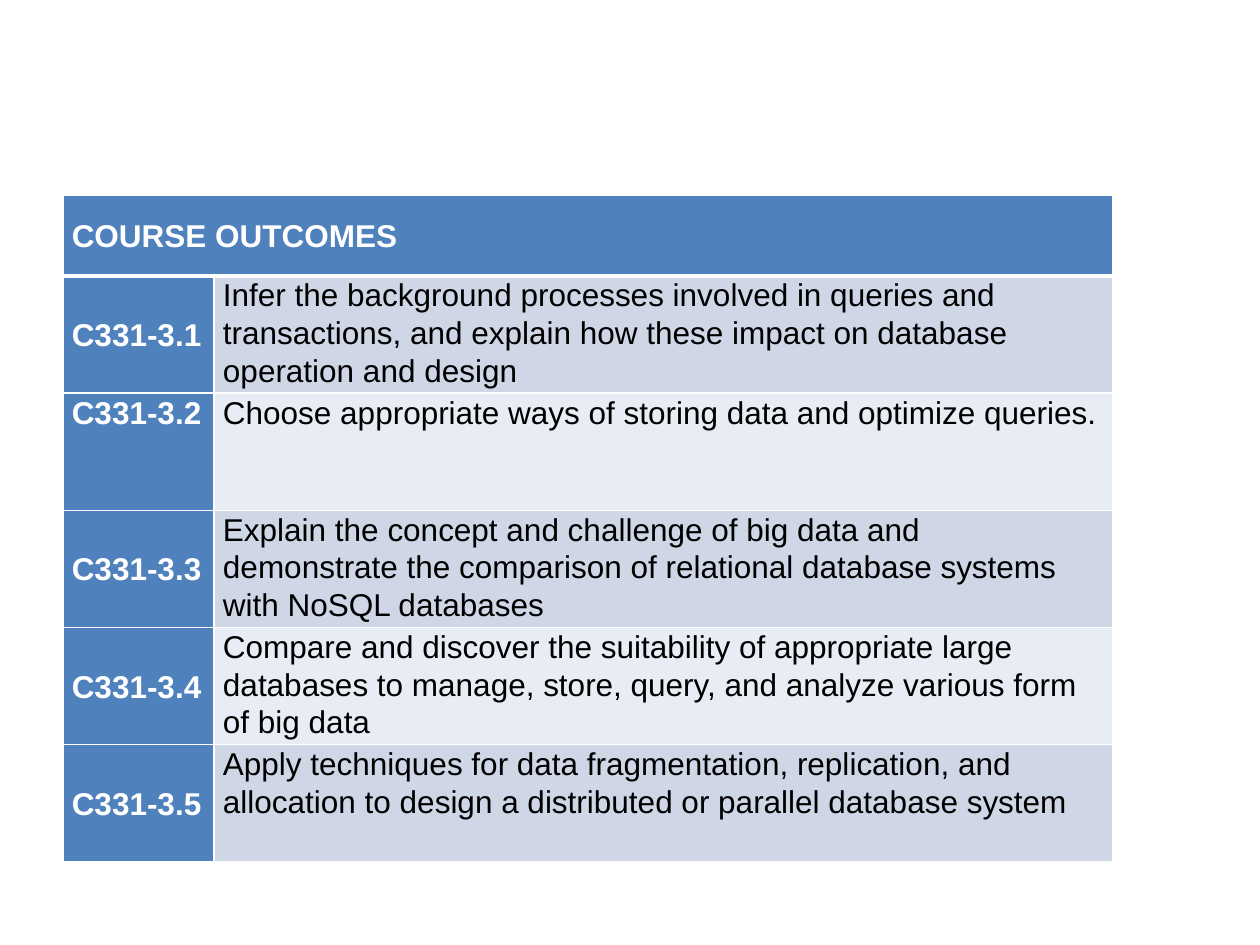
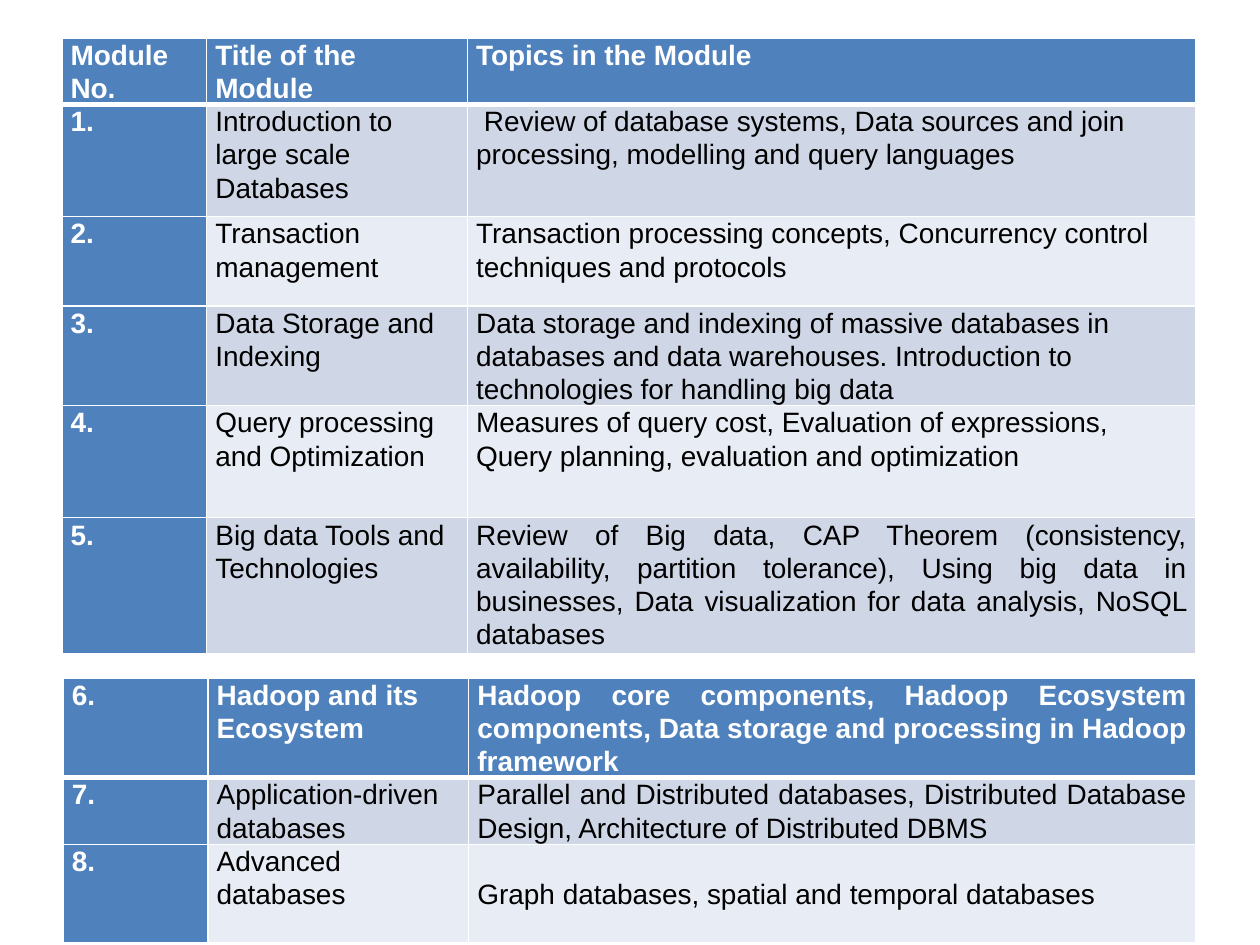
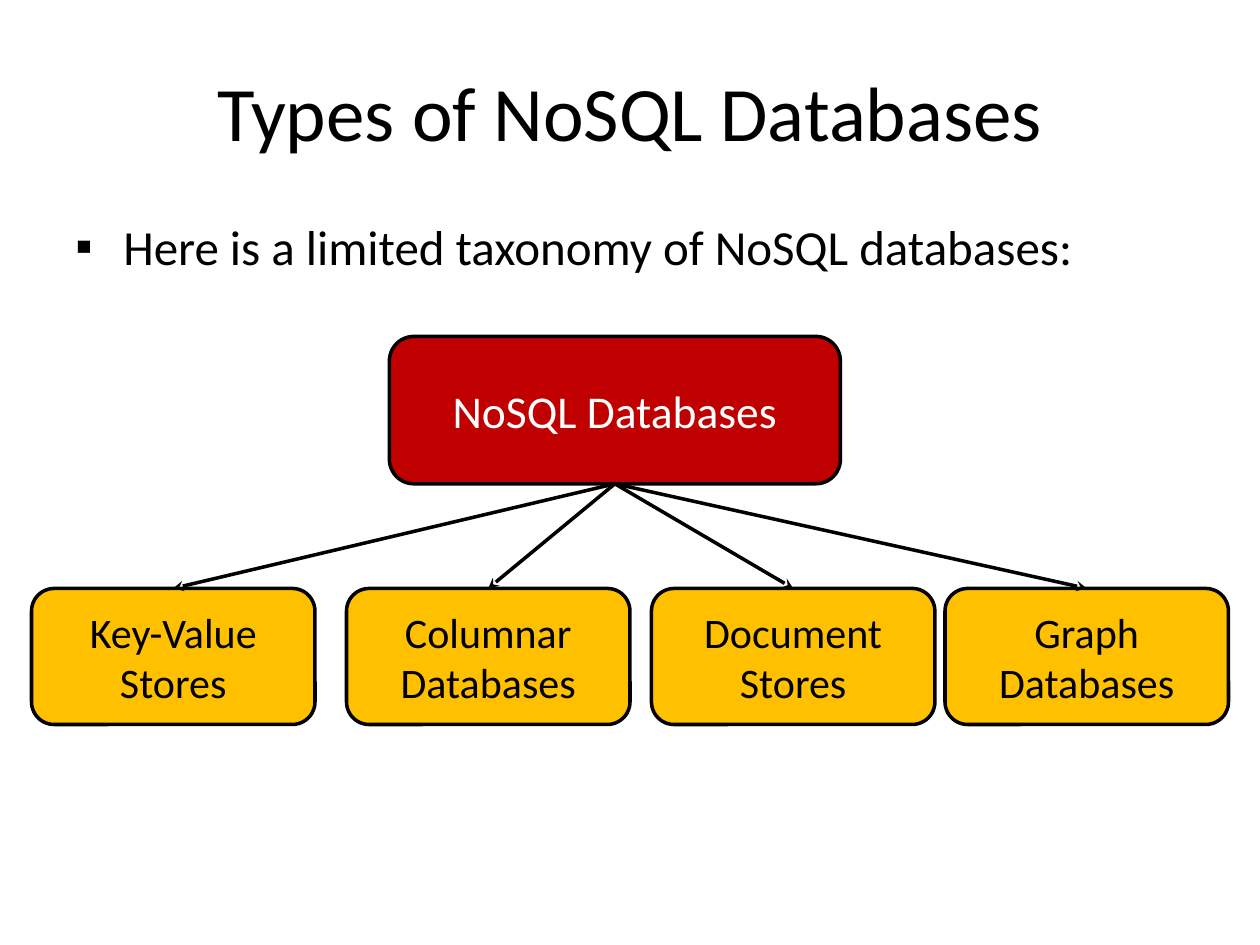
from dataclasses import dataclass
from typing import Any, Optional

import lxml.etree
import pptx
import pptx.dml.color
import pptx.enum.shapes
import pptx.enum.text
import pptx.oxml.ns
import pptx.util

Inches = pptx.util.Inches
Pt = pptx.util.Pt
qn = pptx.oxml.ns.qn
Align = pptx.enum.text.PP_ALIGN
Anchor = pptx.enum.text.MSO_ANCHOR


@dataclass(frozen=True)
class Theme:
    black: str = "000000"
    white: str = "FFFFFF"
    header: str = "4F81BD"
    bands: tuple[str, str] = ("CFD7E7", "E8ECF4")
    root: str = "C00000"
    leaf: str = "FFC000"
    table_font: str = "Arial"
    slide_font: str = "Calibri"
    title_size: float = 44
    body_size: float = 28
    root_size: float = 26
    leaf_size: float = 24
    outcome_size: float = 18
    topic_size: float = 16
    table_spacing: float = 1.07
    line_width: float = 2
    border: float = 1
    header_border: float = 3


THEME = Theme()


@dataclass(frozen=True)
class Cell:
    text: str
    align: Optional[Any] = None
    anchor: Any = Anchor.TOP


@dataclass(frozen=True)
class Grid:
    left: float
    top: float
    cols: tuple[float, ...]
    row_heights: tuple[float, ...]
    rows: tuple[tuple[Cell, ...], ...]
    size: float


@dataclass(frozen=True)
class Node:
    text: str
    left: float
    top: float
    width: float
    height: float
    fill: str
    color: str
    size: float


def rgb(value: str) -> Any:
    return pptx.dml.color.RGBColor.from_string(value)


def set_attrs(obj: Any, values: dict[str, Any]) -> None:
    for name, value in values.items():
        setattr(obj, name, value)


def write(p: Any, text: str, font: str, size: float, color: str,
          bold: bool = False, **para: Any) -> None:
    set_attrs(p, para)
    r = p.add_run()
    r.text = text
    set_attrs(r.font, {"name": font, "size": Pt(size), "bold": bold})
    r.font.color.rgb = rgb(color)


def add_borders(cell: Any, widths: dict[str, float]) -> None:
    tc_pr = cell._tc.get_or_add_tcPr()
    for side, width in widths.items():
        ln = lxml.etree.SubElement(tc_pr, qn(f"a:ln{side}"), w=str(Pt(width)))
        fill = lxml.etree.SubElement(ln, qn("a:solidFill"))
        lxml.etree.SubElement(fill, qn("a:srgbClr"), val=THEME.white)


def add_grid(slide: Any, grid: Grid) -> None:
    sp = slide.shapes.add_table(
        len(grid.rows), len(grid.cols), Inches(grid.left), Inches(grid.top),
        Inches(sum(grid.cols)), Inches(sum(grid.row_heights)))
    table = sp.table
    for col, width in zip(table.columns, grid.cols):
        col.width = Inches(width)
    for row, height in zip(table.rows, grid.row_heights):
        row.height = Inches(height)
    for i, row in enumerate(grid.rows):
        if len(row) == 1:
            table.cell(i, 0).merge(table.cell(i, len(grid.cols) - 1))
        for j in range(len(grid.cols)):
            cell = table.cell(i, j)
            strong = i == 0 or j == 0
            add_borders(cell, {
                "L": THEME.border, "R": THEME.border,
                "T": THEME.header_border if i == 1 else THEME.border,
                "B": THEME.header_border if i == 0 else THEME.border})
            cell.fill.solid()
            cell.fill.fore_color.rgb = rgb(
                THEME.header if strong else THEME.bands[(i - 1) % 2])
            if j >= len(row):
                continue
            set_attrs(cell, {
                "margin_left": Inches(0.07), "margin_right": Inches(0.07),
                "margin_top": 0, "margin_bottom": 0,
                "vertical_anchor": row[j].anchor})
            write(cell.text_frame.paragraphs[0], row[j].text,
                  THEME.table_font, grid.size,
                  THEME.white if strong else THEME.black, strong,
                  alignment=row[j].align, line_spacing=THEME.table_spacing)


def add_text(slide: Any, left: float, top: float, width: float, height: float,
             anchor: Any) -> Any:
    tf = slide.shapes.add_textbox(
        Inches(left), Inches(top), Inches(width), Inches(height)).text_frame
    set_attrs(tf, {"word_wrap": True, "vertical_anchor": anchor})
    return tf.paragraphs[0]


def add_bullet(p: Any, char: str, indent: float) -> None:
    p_pr = p._p.get_or_add_pPr()
    p_pr.set("marL", str(Inches(indent)))
    p_pr.set("indent", str(-Inches(indent)))
    clr = lxml.etree.SubElement(p_pr, qn("a:buClr"))
    lxml.etree.SubElement(clr, qn("a:srgbClr"), val=THEME.black)
    lxml.etree.SubElement(p_pr, qn("a:buFont"), typeface=THEME.table_font)
    lxml.etree.SubElement(p_pr, qn("a:buChar"), char=char)


def style_line(line: Any) -> None:
    line.color.rgb = rgb(THEME.black)
    line.width = Pt(THEME.line_width)


def add_node(slide: Any, node: Node) -> Any:
    sp = slide.shapes.add_shape(
        pptx.enum.shapes.MSO_SHAPE.ROUNDED_RECTANGLE, Inches(node.left),
        Inches(node.top), Inches(node.width), Inches(node.height))
    sp.shadow.inherit = False
    sp.fill.solid()
    sp.fill.fore_color.rgb = rgb(node.fill)
    style_line(sp.line)
    tf = sp.text_frame
    set_attrs(tf, {"word_wrap": True, "vertical_anchor": Anchor.MIDDLE})
    write(tf.paragraphs[0], node.text, THEME.slide_font, node.size, node.color,
          alignment=Align.CENTER)
    return sp


def add_arrow(slide: Any, parent: Any, child: Any) -> None:
    line = slide.shapes.add_connector(
        pptx.enum.shapes.MSO_CONNECTOR.STRAIGHT, 0, 0, 0, 0)
    line.begin_connect(parent, 2)
    line.end_connect(child, 0)
    style_line(line.line)
    lxml.etree.SubElement(line.line._get_or_add_ln(), qn("a:tailEnd"),
                          type="stealth")
    lxml.etree.SubElement(line._element.spPr, qn("a:effectLst"))


OUTCOMES = (
    "Infer the background processes involved in queries and transactions, "
    "and explain how these impact on database operation and design",
    "Choose appropriate ways of storing data and optimize queries.",
    "Explain the concept and challenge of big data and demonstrate the "
    "comparison of relational database systems with NoSQL databases",
    "Compare and discover the suitability of appropriate large databases to "
    "manage, store, query, and analyze various form of big data",
    "Apply techniques for data fragmentation, replication, and allocation to "
    "design a distributed or parallel database system",
)

TOPICS = (
    ("Introduction to large scale Databases",
     Cell(" Review of database systems, Data sources and join processing, "
          "modelling and query languages")),
    ("Transaction management",
     Cell("Transaction processing concepts, Concurrency control techniques "
          "and protocols")),
    ("Data Storage and Indexing",
     Cell("Data storage and indexing of massive databases in databases and "
          "data warehouses. Introduction to technologies for handling big "
          "data")),
    ("Query processing and Optimization",
     Cell("Measures of query cost, Evaluation of expressions, Query planning, "
          "evaluation and optimization")),
    ("Big data Tools and Technologies",
     Cell("Review of Big data, CAP Theorem (consistency, availability, "
          "partition tolerance), Using big data in businesses, Data "
          "visualization for data analysis, NoSQL databases", Align.JUSTIFY)),
    ("Hadoop and its Ecosystem",
     Cell("Hadoop core components, Hadoop Ecosystem components, Data storage "
          "and processing in Hadoop framework", Align.JUSTIFY)),
    ("Application-driven databases",
     Cell("Parallel and Distributed databases, Distributed Database Design, "
          "Architecture of Distributed DBMS", Align.JUSTIFY)),
    ("Advanced databases",
     Cell("Graph databases, spatial and temporal databases", Align.JUSTIFY,
          Anchor.MIDDLE)),
)

LEAVES = (
    ("Key-Value Stores", 0.25),
    ("Columnar Databases", 2.75),
    ("Document Stores", 5.17),
    ("Graph Databases", 7.5),
)


def build_outcomes(slide: Any) -> None:
    rows = [(Cell("COURSE OUTCOMES", anchor=Anchor.MIDDLE),)]
    for number, outcome in enumerate(OUTCOMES, 1):
        anchor = Anchor.TOP if number == 2 else Anchor.MIDDLE
        rows.append((Cell(f"C331-3.{number}", anchor=anchor), Cell(outcome)))
    add_grid(slide, Grid(0.5, 1.55, (1.2, 7.13),
                         (0.64,) + (0.93,) * len(OUTCOMES), tuple(rows),
                         THEME.outcome_size))


def build_topics(slide: Any) -> None:
    header = tuple(map(Cell, ("Module No.", "Title of the Module",
                              "Topics in the Module")))
    rows = tuple((Cell(f"{number}."), Cell(title), topics)
                 for number, (title, topics) in enumerate(TOPICS, 1))
    add_grid(slide, Grid(0.49, 0.3, (1.15, 2.07, 5.78),
                         (0.52, 0.89, 0.71, 0.79, 0.89, 1.08),
                         (header,) + rows[:5], THEME.topic_size))
    add_grid(slide, Grid(0.5, 5.38, (1.15, 2.07, 5.77), (0.79, 0.53, 0.78),
                         rows[5:], THEME.topic_size))


def build_types(slide: Any) -> None:
    title = add_text(slide, 0.5, 0.25, 9, 1.25, Anchor.MIDDLE)
    write(title, "Types of NoSQL Databases", THEME.slide_font,
          THEME.title_size, THEME.black, alignment=Align.CENTER)
    body = add_text(slide, 0.5, 1.67, 9.25, 5.75, Anchor.TOP)
    add_bullet(body, "▪", 0.38)
    write(body, "Here is a limited taxonomy of NoSQL databases:",
          THEME.slide_font, THEME.body_size, THEME.black)
    root = add_node(slide, Node("NoSQL Databases", 3.09, 2.67, 3.58, 1.17,
                                THEME.root, THEME.white, THEME.root_size))
    leaves = [add_node(slide, Node(text, left, 4.67, 2.25, 1.08, THEME.leaf,
                                   THEME.black, THEME.leaf_size))
              for text, left in LEAVES]
    for leaf in leaves:
        add_arrow(slide, root, leaf)


def main() -> None:
    prs = pptx.Presentation()
    set_attrs(prs, {"slide_width": Inches(10), "slide_height": Inches(7.5)})
    for build in (build_outcomes, build_topics, build_types):
        build(prs.slides.add_slide(prs.slide_layouts[6]))
    prs.save("out.pptx")


if __name__ == "__main__":
    main()
